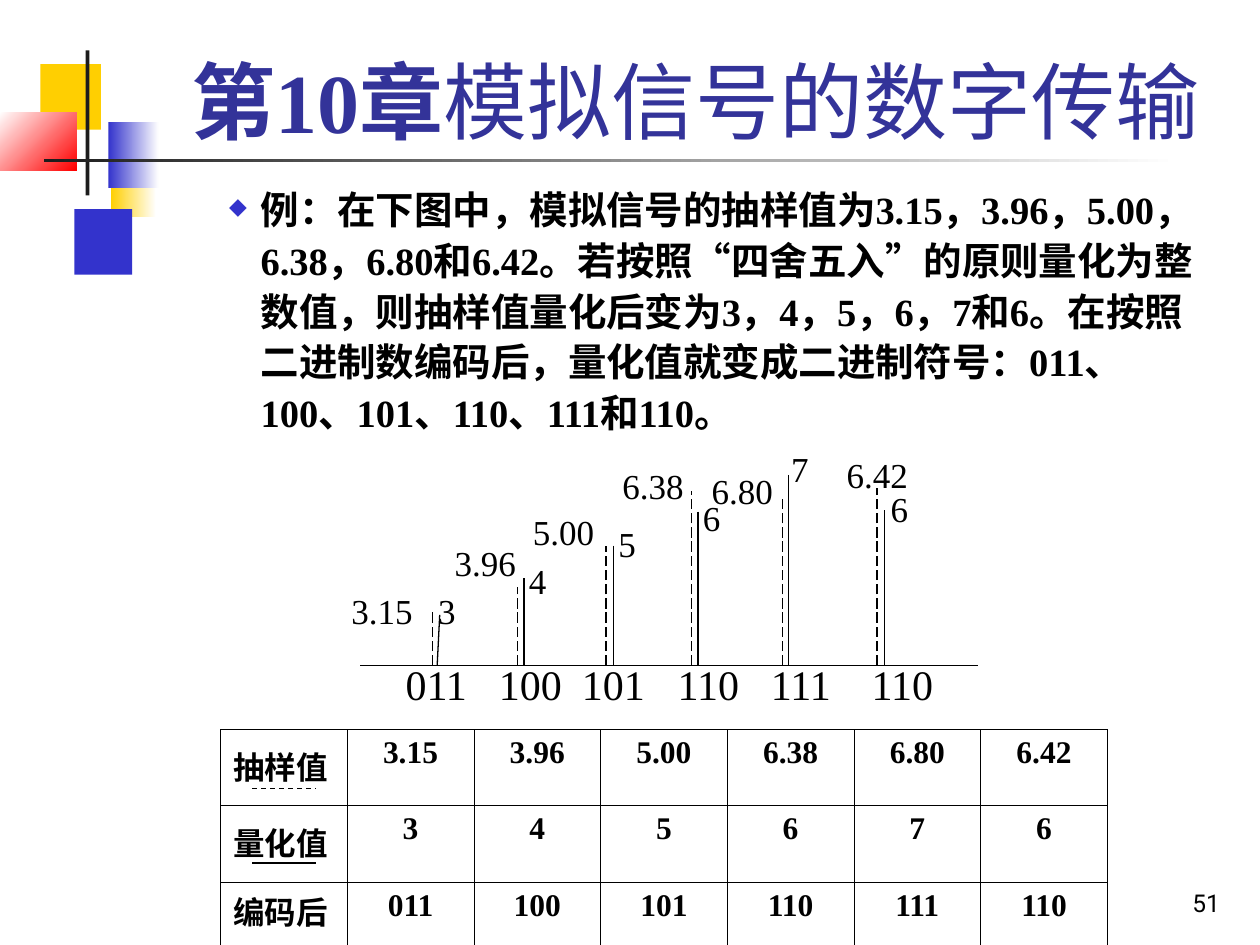
from collections import namedtuple

from lxml import etree
from pptx import Presentation
from pptx.dml.color import RGBColor
from pptx.enum import dml, shapes, text
from pptx.oxml import ns
from pptx.util import Inches, Pt

BLACK = RGBColor(0x00, 0x00, 0x00)
WHITE = RGBColor(0xFF, 0xFF, 0xFF)
CHARCOAL = RGBColor(0x1C, 0x1C, 0x1C)
YELLOW = RGBColor(0xFF, 0xCF, 0x01)
RED = RGBColor(0xFF, 0x00, 0x00)
BLUE = RGBColor(0x33, 0x33, 0xCC)
INDIGO = RGBColor(0x33, 0x33, 0x99)
SERIF = "Times New Roman"

Box = namedtuple("Box", "left top width height")
Sample = namedtuple(
    "Sample", "value level code code_tab value_at level_at dash_x dash_height stem_x stem_height")

SAMPLES = [
    Sample("3.15", "3", "011", 0, (0, 1.13), (0.69, 1.13), 0.74, 0.45, 0.78, 0.4),
    Sample("3.96", "4", "100", 0.74, (0.82, 0.75), (1.41, 0.89), 1.42, 0.62, 1.47, 0.69),
    Sample("5.00", "5", "101", 1.4, (1.44, 0.5), (2.12, 0.6), 2.12, 0.95, 2.18, 0.95),
    Sample("6.38", "6", "110", 2.16, (2.15, 0.14), (2.79, 0.39), 2.8, 1.38, 2.85, 1.22),
    Sample("6.80", "7", "111", 2.9, (2.86, 0.18), (3.49, 0), 3.52, 1.35, 3.57, 1.51),
    Sample("6.42", "6", "110", 3.7, (3.93, 0.05), (4.28, 0.32), 4.27, 1.41, 4.33, 1.23),
]


def inches(*lengths):
    return [Inches(length) for length in lengths]


def apply_format(target, values):
    for name, value in values.items():
        setattr(target, name, value)


def set_font(font, size, color=BLACK, name=SERIF, bold=False):
    apply_format(font, {"size": Pt(size), "name": name, "bold": bold})
    font.color.rgb = color


def add_text(page, box, words, size, align=text.PP_ALIGN.LEFT,
             anchor=text.MSO_ANCHOR.TOP, wrap=True, **font):
    frame = page.shapes.add_textbox(*inches(*box)).text_frame
    apply_format(frame, {"word_wrap": wrap, "vertical_anchor": anchor})
    para = frame.paragraphs[0]
    para.alignment = align
    span = para.add_run()
    span.text = words
    set_font(span.font, size, **font)
    return para


def add_line(page, start, end, dash=None):
    line = page.shapes.add_connector(
        shapes.MSO_CONNECTOR.STRAIGHT, *inches(*start, *end))
    line.line.color.rgb = BLACK
    line.line.width = Pt(0.75)
    if dash is not None:
        line.line.dash_style = dash
    etree.SubElement(line._element.spPr, ns.qn("a:effectLst"))


def add_block(page, box, start, end=None, angle=0):
    block = page.shapes.add_shape(shapes.MSO_SHAPE.RECTANGLE, *inches(*box))
    block.shadow.inherit = False
    block.line.fill.background()
    if end is None:
        block.fill.solid()
        block.fill.fore_color.rgb = start
        return
    block.fill.gradient()
    block.fill.gradient_angle = angle
    for stop, color in zip(block.fill.gradient_stops, (start, end)):
        stop.color.rgb = color


def add_ornament(page, box):
    for left, top, width, height, *paint in [
        (0.88, 0.8, 0.36, 0.52, YELLOW, WHITE),
        (0.59, 1.26, 0.46, 0.52, BLUE),
        (0.32, 0.11, 0.48, 0.52, YELLOW),
        (0.86, 0.57, 0.4, 0.52, BLUE, WHITE),
        (0, 0.49, 0.61, 0.46, WHITE, RED, 315),
        (0.68, 0, 0.03, 1.15, CHARCOAL),
        (0.35, 0.86, 9, 0.03, CHARCOAL, WHITE),
    ]:
        add_block(page, (box.left + left, box.top + top, width, height), *paint)


def add_title(page, box):
    para = add_text(page, box, "第10章", 48, align=text.PP_ALIGN.CENTER,
                    anchor=text.MSO_ANCHOR.BOTTOM, wrap=False, color=INDIGO, bold=True)
    subject = para.add_run()
    subject.text = "模拟信号的数字传输"
    set_font(subject.font, 48, INDIGO)


def add_example(page, box):
    para = add_text(
        page, box,
        "例：在下图中，模拟信号的抽样值为3.15，3.96，5.00，6.38，6.80和6.42。"
        "若按照“四舍五入”的原则量化为整数值，则抽样值量化后变为3，4，5，6，7和6。"
        "在按照二进制数编码后，量化值就变成二进制符号：011、100、101、110、111和110。",
        22, bold=True)
    para.level = 2
    para.line_spacing = 1.1
    props = para._p.get_or_add_pPr()
    props.set("marL", str(Inches(1.25)))
    props.set("indent", str(Inches(-0.25)))
    bullet_color = etree.SubElement(props, ns.qn("a:buClr"))
    etree.SubElement(bullet_color, ns.qn("a:srgbClr"), val=str(BLUE))
    etree.SubElement(props, ns.qn("a:buSzPct"), val="60000")
    etree.SubElement(props, ns.qn("a:buChar"), char="◆")


def add_sample_plot(page, box):
    axis = box.top + 1.78
    add_line(page, (box.left + 0.17, axis), (box.left + 5.07, axis))
    for sample in SAMPLES:
        dash_x, stem_x = box.left + sample.dash_x, box.left + sample.stem_x
        lean = 0.02 if sample is SAMPLES[0] else 0
        add_line(page, (dash_x, axis), (dash_x, axis - sample.dash_height),
                 dml.MSO_LINE.LONG_DASH)
        add_line(page, (stem_x + lean, axis - sample.stem_height), (stem_x, axis))
        for words, (left, top), width in [
            (sample.value, sample.value_at, 0.91), (sample.level, sample.level_at, 0.5),
        ]:
            add_text(page, (box.left + left, box.top + top, width, 0.42), words, 20)
    codes = add_text(page, (box.left + 0.43, box.top + 1.68, 4.88, 0.52),
                     "\t".join(sample.code for sample in SAMPLES), 24)
    tabs = etree.SubElement(codes._p.get_or_add_pPr(), ns.qn("a:tabLst"))
    for sample in SAMPLES[1:]:
        etree.SubElement(tabs, ns.qn("a:tab"), pos=str(Inches(sample.code_tab)), algn="l")


def add_borders(cell):
    props = cell._tc.get_or_add_tcPr()
    for side in ("lnL", "lnR", "lnT", "lnB"):
        border = etree.SubElement(props, ns.qn("a:" + side), w=str(Pt(0.45)))
        paint = etree.SubElement(border, ns.qn("a:solidFill"))
        etree.SubElement(paint, ns.qn("a:srgbClr"), val=str(BLACK))


def add_code_table(page, box):
    rows = [
        ["抽样值"] + [sample.value for sample in SAMPLES],
        ["量化值"] + [sample.level for sample in SAMPLES],
        ["编码后"] + [sample.code for sample in SAMPLES],
    ]
    table = page.shapes.add_table(len(rows), len(rows[0]), *inches(*box)).table
    apply_format(table, {"first_row": False, "horz_banding": False})
    for column in table.columns:
        column.width = Inches(box.width / len(rows[0]))
    for row, height in zip(table.rows, (0.6, 0.61, 0.53)):
        row.height = Inches(height)
    for row_index, words in enumerate(rows):
        for column_index, word in enumerate(words):
            cell = table.cell(row_index, column_index)
            add_borders(cell)
            cell.fill.background()
            is_label = column_index == 0
            cell.margin_top = Inches(0.11 if is_label and row_index < 2 else 0.05)
            para = cell.text_frame.paragraphs[0]
            para.alignment = text.PP_ALIGN.LEFT if is_label else text.PP_ALIGN.CENTER
            span = para.add_run()
            span.text = word
            set_font(span.font, 18, bold=True)
    for top, dash in ((0.47, dml.MSO_LINE.DASH), (1.06, None)):
        y = box.top + top
        add_line(page, (box.left + 0.25, y), (box.left + 0.76, y), dash)


def add_page_number(page, box):
    add_text(page, box, "51", 14, align=text.PP_ALIGN.RIGHT,
             anchor=text.MSO_ANCHOR.BOTTOM, name="Roboto")


def main():
    deck = Presentation()
    deck.slide_width, deck.slide_height = inches(10, 7.5)
    page = deck.slides.add_slide(deck.slide_layouts[6])
    add_ornament(page, Box(0, 0.4, 9.35, 1.78))
    add_page_number(page, Box(7.7, 6.83, 2.08, 0.5))
    add_code_table(page, Box(1.75, 5.79, 7.04, 1.74))
    add_title(page, Box(1.26, 0.23, 8.52, 1.01))
    add_example(page, Box(0.72, 1.39, 8.99, 2.17))
    add_sample_plot(page, Box(2.69, 3.5, 5.31, 2.2))
    deck.save("out.pptx")


if __name__ == "__main__":
    main()
